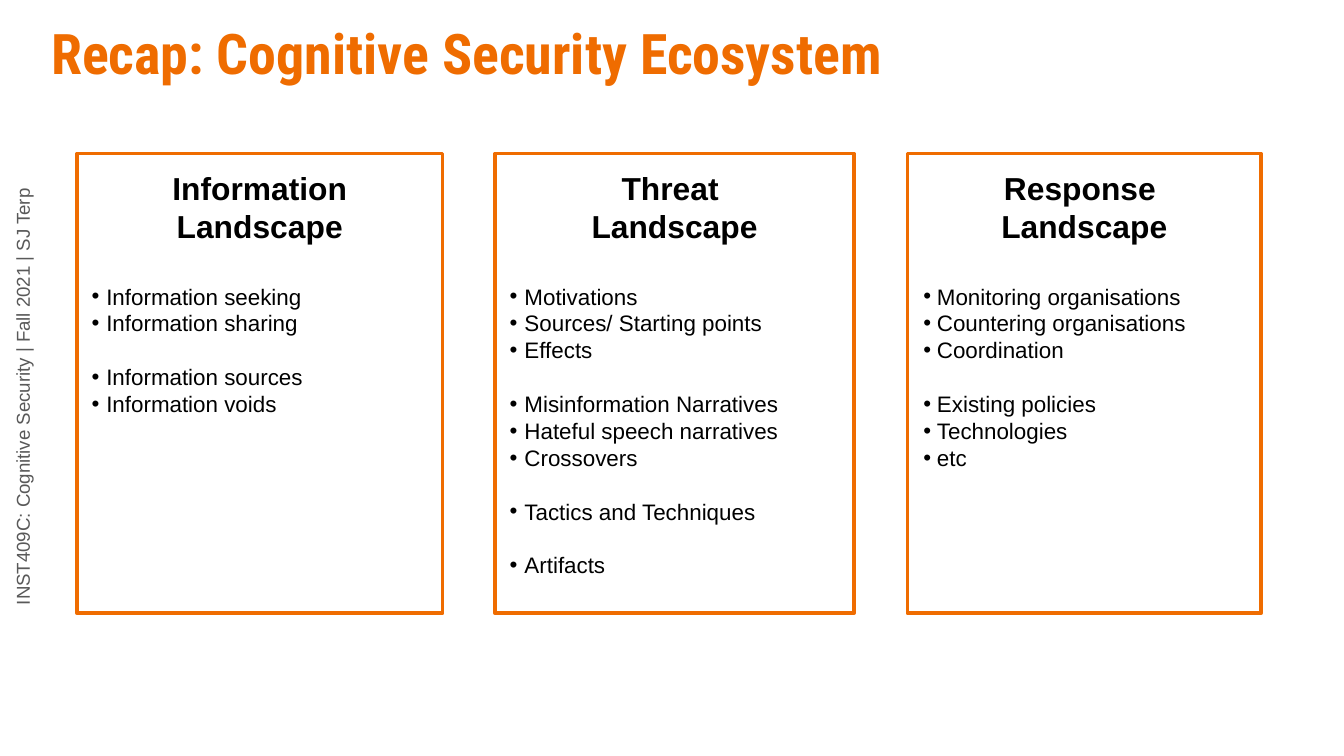
import pptx
import pptx.dml.color
import pptx.enum.shapes
import pptx.enum.text
import pptx.oxml.ns
import pptx.util
import lxml.etree

ORANGE, BLACK, GREY, WHITE = "EF6C00", "000000", "595959", "FFFFFF"
ALIGN = pptx.enum.text.PP_ALIGN
ANCHOR = pptx.enum.text.MSO_ANCHOR


def color(value):
    """Turn a hex string into a colour."""
    return pptx.dml.color.RGBColor.from_string(value)


def write(paragraph, text, size=12, font="Arial", ink=BLACK, bold=False,
          align=ALIGN.LEFT, before=0):
    """Write one formatted run into a paragraph."""
    run = paragraph.add_run()
    run.text = text
    run.font.size = pptx.util.Pt(size)
    run.font.name = font
    run.font.bold = bold
    run.font.color.rgb = color(ink)
    paragraph.alignment = align
    paragraph.space_before = pptx.util.Pt(before)


def add_bullet(paragraph, hang):
    """Give a paragraph a hanging black bullet."""
    properties = paragraph._p.get_or_add_pPr()
    properties.set("marL", str(pptx.util.Inches(0.11)))
    properties.set("indent", str(-pptx.util.Inches(hang)))
    tint = lxml.etree.SubElement(properties, pptx.oxml.ns.qn("a:buClr"))
    lxml.etree.SubElement(tint, pptx.oxml.ns.qn("a:srgbClr"), val=BLACK)
    lxml.etree.SubElement(properties, pptx.oxml.ns.qn("a:buFont"),
                          typeface="Arial")
    lxml.etree.SubElement(properties, pptx.oxml.ns.qn("a:buChar"), char="•")


class Deck:
    """Hold the style and the current slide on a 100-column grid."""

    def __init__(self):
        """Start a 16:9 presentation with one blank slide."""
        self.presentation = pptx.Presentation()
        width = pptx.util.Inches(10)
        self.presentation.slide_width = width
        self.presentation.slide_height = width * 9 // 16
        self.unit = width / 100
        self.slide = self.presentation.slides.add_slide(
            self.presentation.slide_layouts[6])

    def place(self, *cells):
        """Convert grid columns and rows to lengths."""
        return [round(cell * self.unit) for cell in cells]

    def frame(self, shapes, cells, inset=1, anchor=ANCHOR.TOP):
        """Add a wrapping text box with equal insets."""
        box = shapes.add_textbox(*self.place(*cells))
        body = box.text_frame
        body.word_wrap = True
        body.vertical_anchor = anchor
        margin, = self.place(inset)
        body.margin_left = body.margin_right = margin
        body.margin_top = body.margin_bottom = margin
        return box

    def title(self, text):
        """Add the slide title."""
        heading = self.frame(self.slide.shapes, (3.4, 0, 93.2, 7.7), 0.4,
                             ANCHOR.MIDDLE)
        write(heading.text_frame.paragraphs[0], text, size=30,
              font="Roboto Condensed", ink=ORANGE, bold=True)

    def side_label(self, text):
        """Add the course label that runs up the left edge."""
        label = self.frame(self.slide.shapes, (-16, 26.3, 35.7, 3.7))
        label.rotation = 270
        write(label.text_frame.paragraphs[0], text, size=10, ink=GREY)

    def landscape(self, left, width, heading, topics, hang):
        """Add an outlined panel with a heading and grouped bullets."""
        top, height, border = 11.43, 34.2, 0.1
        panel = self.slide.shapes.add_group_shape()
        outline = panel.shapes.add_shape(
            pptx.enum.shapes.MSO_SHAPE.RECTANGLE,
            *self.place(left, top, width, height))
        outline.shadow.inherit = False
        outline.fill.solid()
        outline.fill.fore_color.rgb = color(WHITE)
        outline.line.color.rgb = color(ORANGE)
        outline.line.width = pptx.util.Pt(2)

        body = self.frame(panel.shapes, (left + border, top + border,
                                         width - 2 * border, height)).text_frame
        for number, line in enumerate(heading):
            paragraph = body.add_paragraph() if number else body.paragraphs[0]
            write(paragraph, line, size=17, bold=True, align=ALIGN.CENTER)
        gap = 20.4
        for group in topics:
            for topic in group:
                paragraph = body.add_paragraph()
                write(paragraph, topic, before=gap)
                add_bullet(paragraph, hang)
                gap = 0
            gap = 14.4


LANDSCAPES = [
    (5.73, 27.2, ["Information Landscape"],
     [["Information seeking", "Information sharing"],
      ["Information sources", "Information voids"]], 0.11),
    (36.84, 26.7, ["Threat ", "Landscape"],
     [["Motivations", "Sources/ Starting points", "Effects"],
      ["Misinformation Narratives", "Hateful speech narratives", "Crossovers"],
      ["Tactics and Techniques"],
      ["Artifacts"]], 0.11),
    (67.53, 26.3, ["Response ", "Landscape"],
     [["Monitoring organisations", "Countering organisations", "Coordination"],
      ["Existing policies", "Technologies", "etc"]], 0.1),
]


def main():
    """Build and save the slide."""
    deck = Deck()
    deck.side_label("INST409C: Cognitive Security | Fall 2021 | SJ Terp")
    deck.title("Recap: Cognitive Security Ecosystem")
    for landscape in LANDSCAPES:
        deck.landscape(*landscape)
    deck.presentation.save("out.pptx")


if __name__ == "__main__":
    main()
